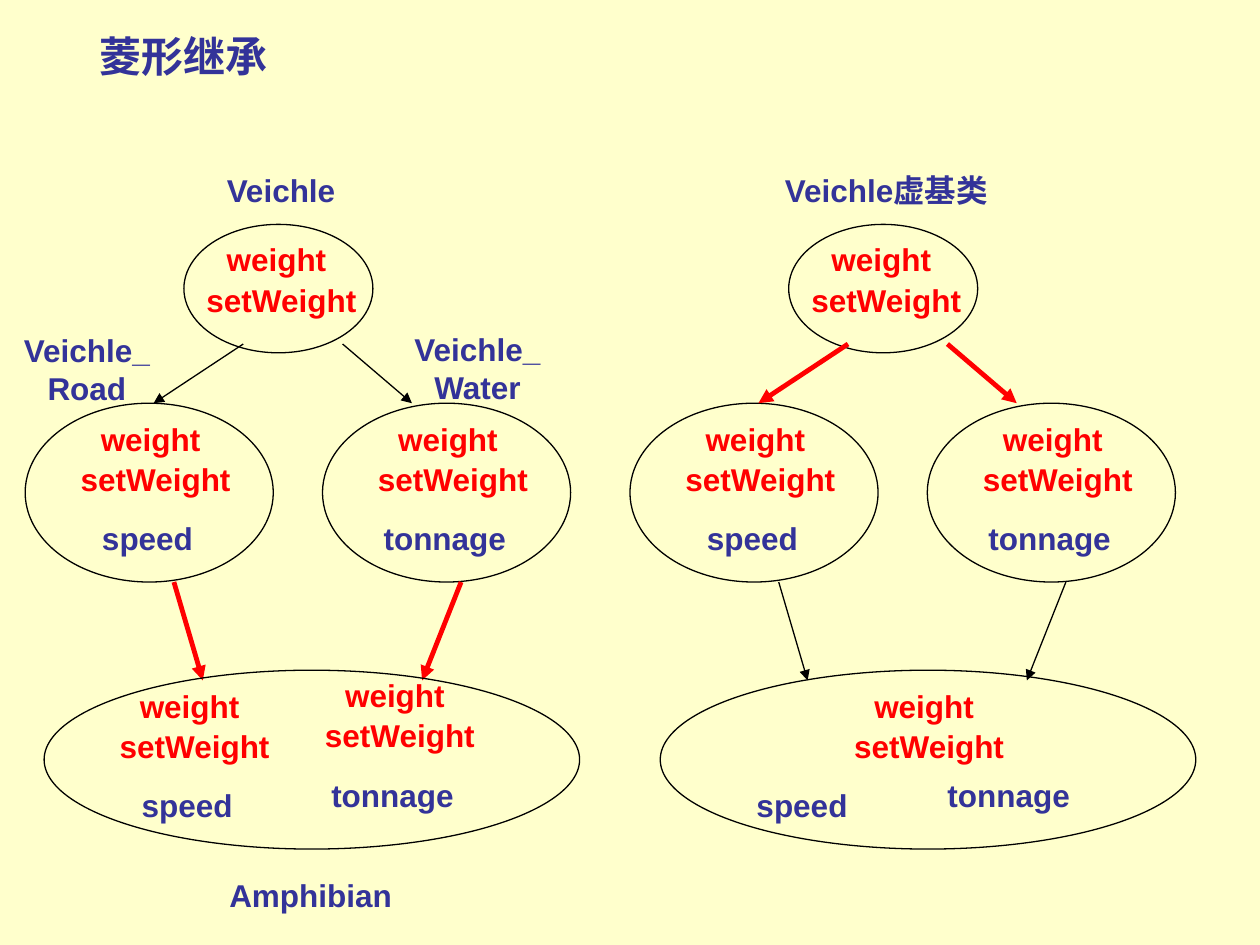
import pptx
import pptx.dml.color
import pptx.enum.shapes
import pptx.enum.text
import pptx.util
from lxml import etree
from pptx.oxml.ns import qn

Pt = pptx.util.Pt
RGBColor = pptx.dml.color.RGBColor

CREAM = RGBColor(0xFF, 0xFF, 0xCC)
BLACK = RGBColor(0, 0, 0)
RED = RGBColor(0xFF, 0, 0)
NAVY = RGBColor(0x33, 0x33, 0x99)

THIN, THICK = (BLACK, 0.75), (RED, 2.75)
WIDTHS = {"weight": 77, "setWeight": 106, "speed": 67, "tonnage": 90}


class Diagram:
    font = "Arial"
    size = 18

    def __init__(self, page):
        self.page = page
        self.left = 0  # left edge of the current half

    def text(self, center, top, lines, width, color=NAVY, size=size, height=28.8):
        box = self.page.shapes.add_textbox(
            Pt(self.left + center - width / 2), Pt(top), Pt(width), Pt(height))
        frame = box.text_frame
        frame.word_wrap = False
        frame.auto_size = pptx.enum.text.MSO_AUTO_SIZE.SHAPE_TO_FIT_TEXT
        for index, line in enumerate(lines):
            para = frame.add_paragraph() if index else frame.paragraphs[0]
            para.alignment = pptx.enum.text.PP_ALIGN.CENTER
            span = para.add_run()
            span.text = line
            span.font.name = self.font
            span.font.size = Pt(size)
            span.font.bold = True
            span.font.color.rgb = color

    def member(self, center, top, name, color=NAVY):
        self.text(center, top, [name], WIDTHS[name], color)

    def inherited(self, center, top):
        self.member(center, top, "weight", RED)
        self.member(center + 2.8, top + 22.9, "setWeight", RED)

    def ellipse(self, left, top, width, height):
        shape = self.page.shapes.add_shape(
            pptx.enum.shapes.MSO_SHAPE.OVAL,
            Pt(self.left + left), Pt(top), Pt(width), Pt(height))
        shape.shadow.inherit = False
        shape.fill.background()
        shape.line.color.rgb = BLACK
        shape.line.width = Pt(0.75)

    def arrow(self, start, end, style):
        color, weight = style
        line = self.page.shapes.add_connector(
            pptx.enum.shapes.MSO_CONNECTOR.STRAIGHT,
            Pt(self.left + start[0]), Pt(start[1]),
            Pt(self.left + end[0]), Pt(end[1]))
        line.line.color.rgb = color
        line.line.width = Pt(weight)
        properties = line._element.spPr.find(qn("a:ln"))
        etree.SubElement(properties, qn("a:tailEnd"), type="triangle")
        etree.SubElement(line._element.spPr, qn("a:effectLst"))

    def hierarchy(self, left, upper, lower):
        """Base class, its two children and the arrows between the levels."""
        self.left = left
        self.ellipse(105.1, 128.2, 108, 73.4)
        self.inherited(158, 133.9)
        for center, name in ((85.3, "speed"), (255.2, "tonnage")):
            self.ellipse(center - 70.9, 230.4, 141.8, 102.2)
            self.inherited(center + 0.8, 236.2)
            self.member(center - 1, 293, name)
        self.arrow((139, 196.6), (87.8, 230.4), upper)
        self.arrow((195.8, 196.6), (235.4, 230.4), upper)
        self.arrow((99.4, 332.6), (115.9, 388.8), lower)
        self.arrow((263.5, 332.6), (241.2, 388.8), lower)

    def derived(self, left, speed, tonnage):
        """Class at the bottom with the members of both parents."""
        self.ellipse(left, 383, 306, 102.2)
        self.member(speed, 445.7, "speed")
        self.member(tonnage, 440, "tonnage")


def main():
    deck = pptx.Presentation()
    deck.slide_width, deck.slide_height = Pt(720), Pt(540)
    page = deck.slides.add_slide(deck.slide_layouts[6])
    page.background.fill.solid()
    page.background.fill.fore_color.rgb = CREAM
    diagram = Diagram(page)

    # Title
    diagram.text(104.8, 13.7, ["菱形继承"], 112, size=24, height=36)

    # Ordinary inheritance: the base members arrive twice
    diagram.hierarchy(0, THIN, THICK)
    diagram.derived(25.2, 106.9, 224.3)
    diagram.inherited(108.4, 388.8)
    diagram.inherited(225.7, 383)
    diagram.text(160.6, 94.3, ["Veichle"], 79)
    diagram.text(49.7, 185.8, ["Veichle_", "Road"], 86.4, height=50.4)
    diagram.text(272.9, 185, ["Veichle_", "Water"], 86.4, height=50.4)
    diagram.text(177.5, 496.8, ["Amphibian"], 110)

    # Virtual inheritance: the base members arrive once
    diagram.hierarchy(345.6, THICK, THIN)
    diagram.derived(31.7, 112.7, 230.8)
    diagram.inherited(182.5, 388.8)
    diagram.text(160.9, 94.3, ["Veichle虚基类"], 137.5)

    deck.save("out.pptx")


if __name__ == "__main__":
    main()
